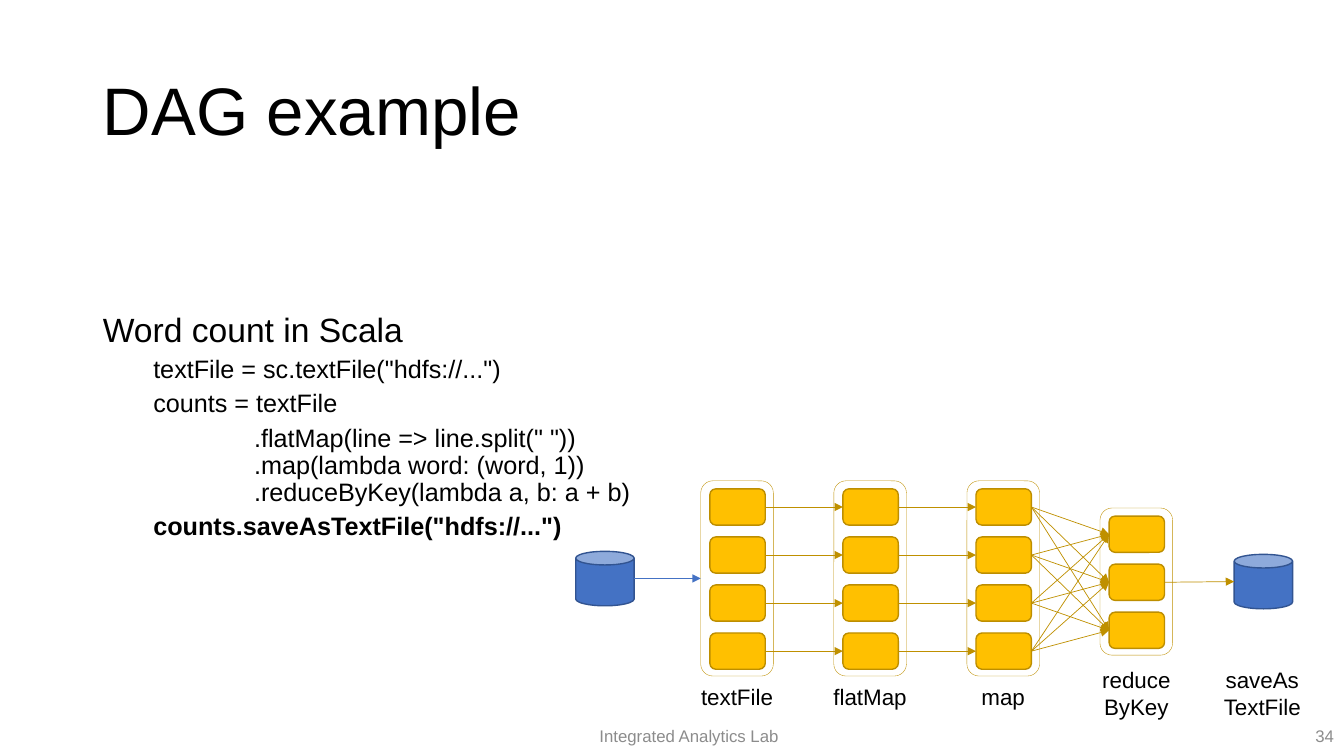
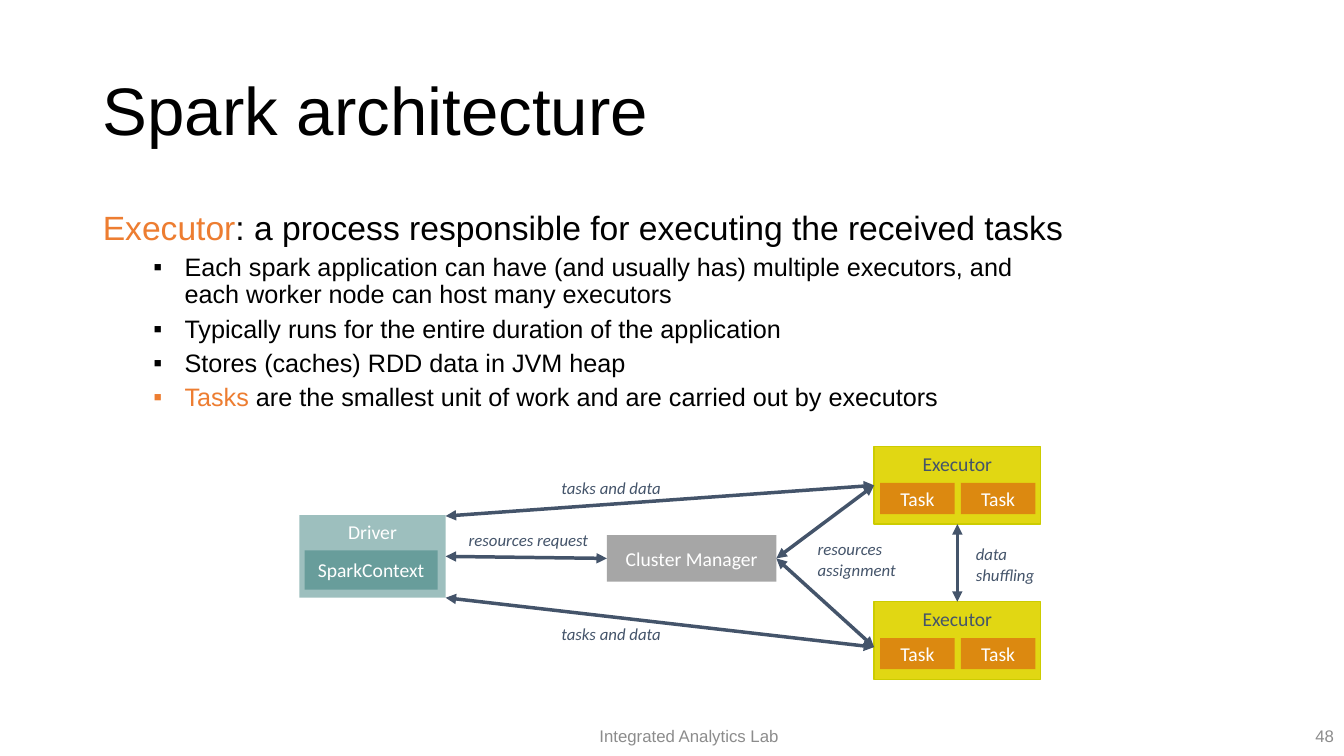
import copy
import itertools

import lxml.etree
import pptx
import pptx.dml.color
import pptx.enum.shapes
import pptx.enum.text
import pptx.oxml.ns
import pptx.util

Inches = pptx.util.Inches
Pt = pptx.util.Pt
RGBColor = pptx.dml.color.RGBColor
SHAPE = pptx.enum.shapes.MSO_SHAPE
ANCHOR = pptx.enum.text.MSO_ANCHOR
ALIGN = pptx.enum.text.PP_ALIGN
qn = pptx.oxml.ns.qn

BLACK = RGBColor(0x00, 0x00, 0x00)
WHITE = RGBColor(0xFF, 0xFF, 0xFF)
FOOTER_GRAY = RGBColor(0x8C, 0x8C, 0x8C)
ORANGE = RGBColor(0xED, 0x7D, 0x31)
BLUE = RGBColor(0x44, 0x72, 0xC4)
DARK_BLUE = RGBColor(0x32, 0x54, 0x91)
GOLD = RGBColor(0xFF, 0xC0, 0x00)
GOLD_EDGE = RGBColor(0xBD, 0x8E, 0x00)
DARK_GOLD = RGBColor(0xBF, 0x90, 0x00)
SLATE = RGBColor(0x44, 0x54, 0x6A)
MANAGER_GRAY = RGBColor(0xA6, 0xA6, 0xA6)
LIGHT_TEAL = RGBColor(0x9D, 0xBF, 0xBE)
TEAL = RGBColor(0x68, 0x9D, 0x9B)
YELLOW = RGBColor(0xE1, 0xD7, 0x13)
YELLOW_EDGE = RGBColor(0xCC, 0xCC, 0x00)
TASK_ORANGE = RGBColor(0xDC, 0x89, 0x10)

HEADING_FONT = "Arial"
DIAGRAM_FONT = "Calibri"
TOP, LEFT, BOTTOM, RIGHT = range(4)


def place(shape, left, top, width, height):
    shape.left, shape.top = Inches(left), Inches(top)
    shape.width, shape.height = Inches(width), Inches(height)


def format_paragraph(para, size, color, font=HEADING_FONT, align=ALIGN.LEFT, italic=None):
    """Format every run, and give line breaks the same properties."""
    para.alignment = align
    for span in para.runs:
        span.font.size = Pt(size)
        span.font.name = font
        span.font.color.rgb = color
        span.font.italic = italic
    for line_break in para._p.findall(qn("a:br")):
        line_break.append(copy.deepcopy(para.runs[0]._r.find(qn("a:rPr"))))


def write(shape, text, size, color, anchor=ANCHOR.TOP, **style):
    frame = shape.text_frame
    frame.text = text
    frame.vertical_anchor = anchor
    for para in frame.paragraphs:
        format_paragraph(para, size, color, **style)


def add_label(slide, text, area, size, color, wrap=False, **style):
    box = slide.shapes.add_textbox(*map(Inches, area))
    write(box, text, size, color, **style)
    box.text_frame.word_wrap = wrap


def add_block(slide, kind, area, fill=None, edge=None, weight=1):
    shape = slide.shapes.add_shape(kind, *map(Inches, area))
    shape.shadow.inherit = False
    if fill is None:
        shape.fill.background()
    else:
        shape.fill.solid()
        shape.fill.fore_color.rgb = fill
    if edge is None:
        shape.line.fill.background()
    else:
        shape.line.color.rgb = edge
        shape.line.width = Pt(weight)
    return shape


def add_named_block(slide, text, area, fill, edge=None, color=WHITE, anchor=ANCHOR.MIDDLE):
    shape = add_block(slide, SHAPE.RECTANGLE, area, fill, edge)
    write(shape, text, 14, color, anchor, font=DIAGRAM_FONT, align=ALIGN.CENTER)
    shape.text_frame.word_wrap = False
    return shape


def add_arrow(slide, start, end, color, weight, both_ends=False):
    """Draw an arrow; each end is a (shape, side) pair or an (x, y) point in inches."""
    connector = slide.shapes.add_connector(
        pptx.enum.shapes.MSO_CONNECTOR.STRAIGHT, 0, 0, 0, 0)
    if isinstance(start[0], float):
        connector.begin_x, connector.begin_y = map(Inches, start)
    else:
        connector.begin_connect(*start)
    if isinstance(end[0], float):
        connector.end_x, connector.end_y = map(Inches, end)
    else:
        connector.end_connect(*end)
    connector.line.color.rgb = color
    connector.line.width = Pt(weight)
    properties = connector._element.spPr
    line = properties.find(qn("a:ln"))
    for tag in ("a:headEnd", "a:tailEnd") if both_ends else ("a:tailEnd",):
        lxml.etree.SubElement(line, qn(tag), type="triangle")
    lxml.etree.SubElement(properties, qn("a:effectLst"))


def set_indent(para, left, hanging=0):
    properties = para._p.get_or_add_pPr()
    properties.set("marL", str(Inches(left)))
    properties.set("indent", str(-Inches(hanging)))


def set_bullet(para, symbol):
    properties = para._p.get_or_add_pPr()
    if symbol:
        lxml.etree.SubElement(properties, qn("a:buFont"), typeface=HEADING_FONT)
        lxml.etree.SubElement(properties, qn("a:buChar"), char=symbol)
    else:
        lxml.etree.SubElement(properties, qn("a:buNone"))


def add_page(deck, title, number):
    slide = deck.slides.add_slide(deck.slide_layouts[1])
    heading = slide.shapes.title
    place(heading, 0.92, 0.4, 11.5, 1.45)
    write(heading, title, 48, BLACK, ANCHOR.MIDDLE)
    heading.text_frame.paragraphs[0].line_spacing = 0.9
    for text, area, align in (
        ("Integrated Analytics Lab", (5.4, 7.1, 2.87, 0.4), ALIGN.CENTER),
        (str(number), (10.33, 7.1, 3, 0.4), ALIGN.RIGHT),
    ):
        add_label(slide, text, area, 12, FOOTER_GRAY, wrap=True,
                  anchor=ANCHOR.MIDDLE, align=align)
    return slide


def fill_body(slide, items, symbol=None):
    """Write a lead line and its sub-items; the first of two spans is highlighted."""
    body = slide.placeholders[1]
    place(body, 0.92, 1.86, 11.5, 4.76)
    frame = body.text_frame
    frame.auto_size = pptx.enum.text.MSO_AUTO_SIZE.NONE
    for index, spans in enumerate(items):
        para = frame.add_paragraph() if index else frame.paragraphs[0]
        para.text = spans[0]
        for text in spans[1:]:
            para.add_run().text = text
        if index:
            para.level = 1
            set_indent(para, *((0.81, 0.31) if symbol else (0.5, 0)))
        else:
            set_indent(para, 0)
        set_bullet(para, symbol if index else None)
        para.line_spacing = 0.9
        para.space_before = Pt(5 if index else 0)
        format_paragraph(para, 18 if index else 24, BLACK)
        if len(spans) > 1:
            para.runs[0].font.color.rgb = ORANGE
    return frame


def add_stage(slide, left, top, rows):
    """Draw a framed column of partitions; return the frame and the partitions."""
    pitch = 1.43 / 3
    frame = add_block(slide, SHAPE.ROUNDED_RECTANGLE,
                      (left, top, 0.72, 0.03 + pitch * rows), edge=DARK_GOLD, weight=0.25)
    partitions = [
        add_block(slide, SHAPE.ROUNDED_RECTANGLE,
                  (left + 0.09, top + 0.08 + pitch * row, 0.55, 0.36), GOLD, GOLD_EDGE)
        for row in range(rows)
    ]
    return frame, partitions


def build_dag_page(deck):
    slide = add_page(deck, "DAG example", 34)
    code = fill_body(slide, [
        ["Word count in Scala"],
        ['textFile = sc.textFile("hdfs://...")'],
        ["counts = textFile"],
        ['.flatMap(line => line.split(" "))\v'
         ".map(lambda word: (word, 1))\v"
         ".reduceByKey(lambda a, b: a + b)"],
        ['counts.saveAsTextFile("hdfs://...")'],
    ])
    code.vertical_anchor = ANCHOR.MIDDLE
    set_indent(code.paragraphs[3], 1.5)
    code.paragraphs[-1].runs[0].font.bold = True

    for left, top in ((5.71, 5.47), (12.24, 5.5)):
        add_block(slide, SHAPE.CAN, (left, top, 0.58, 0.54), BLUE, DARK_BLUE)
    stages = [
        add_stage(slide, 6.95 + 1.32 * column, top, rows)
        for column, (top, rows) in enumerate([(4.77, 4)] * 3 + [(5.04, 3)])
    ]
    partitions = [stage[1] for stage in stages]

    add_arrow(slide, (6.29, 5.74), (stages[0][0], LEFT), BLUE, 0.5)
    links = itertools.chain(
        zip(partitions[0], partitions[1]),
        zip(partitions[1], partitions[2]),
        itertools.product(partitions[2], partitions[3]),
    )
    for source, target in links:
        add_arrow(slide, (source, RIGHT), (target, LEFT), DARK_GOLD, 0.5)
    add_arrow(slide, (partitions[3][1], RIGHT), (12.24, 5.77), DARK_GOLD, 0.5)

    for text, center, top, width, height in (
        ("textFile", 7.31, 6.73, 0.92, 0.37),
        ("flatMap", 8.63, 6.73, 0.94, 0.37),
        ("map", 9.95, 6.73, 0.64, 0.37),
        ("reduce\vByKey", 11.27, 6.56, 0.89, 0.64),
        ("saveAs\vTextFile", 12.52, 6.56, 0.97, 0.64),
    ):
        add_label(slide, text, (center - width / 2, top, width, height), 16, BLACK,
                  align=ALIGN.CENTER)


def add_executor(slide, top):
    executor = add_named_block(slide, "Executor", (8.67, top, 1.65, 0.77), YELLOW,
                               YELLOW_EDGE, SLATE, ANCHOR.TOP)
    for left in (8.73, 9.53):
        add_named_block(slide, "Task", (left, top + 0.36, 0.74, 0.31), TASK_ORANGE)
    return executor


def build_architecture_page(deck):
    slide = add_page(deck, "Spark architecture", 48)
    body = fill_body(slide, [
        ["Executor", ": a process responsible for executing the received tasks"],
        ["Each spark application can have (and usually has) multiple executors, and\v"
         "each worker node can host many executors"],
        ["Typically runs for the entire duration of the application"],
        ["Stores (caches) RDD data in JVM heap"],
        ["Tasks", " are the smallest unit of work and are carried out by executors"],
    ], "▪")
    body.vertical_anchor = ANCHOR.TOP
    body.margin_top = Inches(0.24)

    manager = add_named_block(slide, "Cluster Manager", (6.02, 5.31, 1.68, 0.46), MANAGER_GRAY)
    driver = add_named_block(slide, "Driver", (2.97, 5.11, 1.45, 0.82), LIGHT_TEAL,
                             anchor=ANCHOR.TOP)
    add_named_block(slide, "SparkContext", (3.02, 5.46, 1.32, 0.39), TEAL)
    upper, lower = add_executor(slide, 4.43), add_executor(slide, 5.97)
    lower_entry = (8.67, 6.42)

    for start, end in (
        ((upper, BOTTOM), (lower, TOP)),
        ((driver, RIGHT), (manager, LEFT)),
        ((manager, RIGHT), (upper, LEFT)),
        ((manager, RIGHT), lower_entry),
        ((4.42, 5.12), (upper, LEFT)),
        ((4.42, 5.93), lower_entry),
    ):
        add_arrow(slide, start, end, SLATE, 2.5, both_ends=True)

    for text, area in (
        ("resources request", (4.55, 5.21, 1.4, 0.3)),
        ("tasks and data", (5.47, 4.69, 1.19, 0.3)),
        ("tasks and data", (5.47, 6.14, 1.19, 0.3)),
        ("resources\nassignment", (8.01, 5.3, 0.98, 0.5)),
        ("data\nshuffling", (9.58, 5.35, 0.79, 0.5)),
    ):
        add_label(slide, text, area, 12, SLATE, font=DIAGRAM_FONT, italic=True)


def main():
    deck = pptx.Presentation()
    deck.slide_width, deck.slide_height = Inches(13.33), Inches(7.5)
    build_dag_page(deck)
    build_architecture_page(deck)
    deck.save("out.pptx")


if __name__ == "__main__":
    main()
